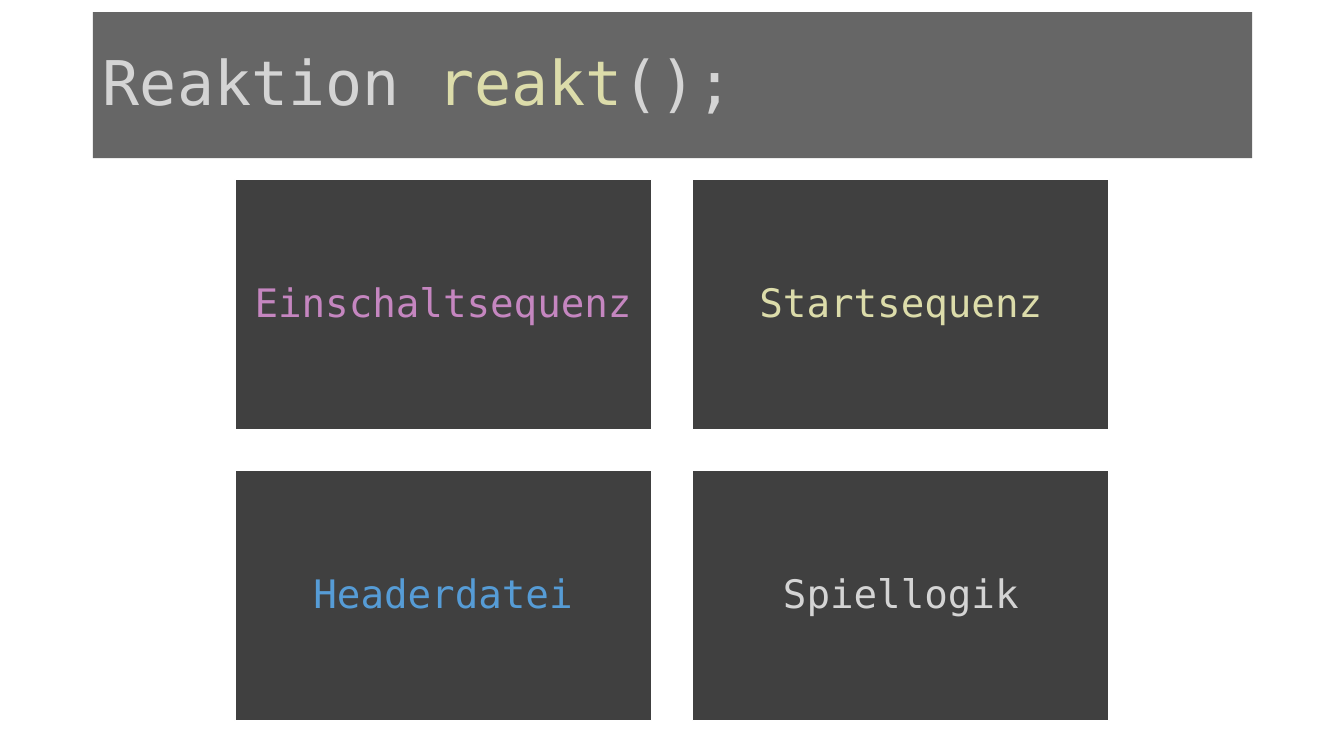
"""Build a title slide with a grid of four program parts."""
from lxml.etree import SubElement
from pptx import Presentation
from pptx.dml.color import RGBColor
from pptx.enum.shapes import MSO_SHAPE
from pptx.enum.text import MSO_ANCHOR, MSO_AUTO_SIZE, PP_ALIGN
from pptx.oxml.ns import qn
from pptx.util import Inches, Pt

COLORS = {
    "panel": "404040",
    "border": "FFFFFF",
    "plain": "D4D4D4",
    "function": "DCDCAA",
    "keyword": "C586C0",
    "type": "569CD6",
}
FONT = "DejaVu Sans Mono"
TITLE = [("Reaktion ", "plain"), ("reakt", "function"), ("();", "plain")]
PARTS = [
    ("Einschaltsequenz", "keyword"),
    ("Startsequenz", "function"),
    ("Headerdatei", "type"),
    ("Spiellogik", "plain"),
]
COLUMNS = 2
GRID_LEFT, GRID_TOP = 2.33, 1.78
BOX_WIDTH, BOX_HEIGHT = 4.13, 2.48
GAP = 0.41


def color(name):
    return RGBColor.from_string(COLORS[name])


def apply(target, values):
    for name, value in values.items():
        setattr(target, name, value)


def fill_panel(box):
    box.fill.solid()
    box.fill.fore_color.rgb = color("panel")


def write_spans(box, spans, size, align):
    frame = box.text_frame
    apply(frame, {"word_wrap": True, "auto_size": MSO_AUTO_SIZE.NONE,
                  "vertical_anchor": MSO_ANCHOR.MIDDLE})
    para = frame.paragraphs[0]
    apply(para, {"alignment": align, "line_spacing": 0.9})
    for text, color_name in spans:
        span = para.add_run()
        span.text = text
        apply(span.font, {"name": FONT, "size": Pt(size)})
        span.font.color.rgb = color(color_name)


def add_title(page):
    title = page.shapes.title
    apply(title, {"left": Inches(0.92), "top": Inches(0.12),
                  "width": Inches(11.5), "height": Inches(1.45)})
    fill_panel(title)
    tint = title.fill._xPr.find(qn("a:solidFill"))[0]
    SubElement(tint, qn("a:alpha")).set("val", "80000")
    write_spans(title, TITLE, 44, PP_ALIGN.LEFT)


def add_part(page, index, text, color_name):
    row, column = divmod(index, COLUMNS)
    left = GRID_LEFT + column * (BOX_WIDTH + GAP)
    top = GRID_TOP + row * (BOX_HEIGHT + GAP)
    box = page.shapes.add_shape(
        MSO_SHAPE.RECTANGLE, Inches(left), Inches(top),
        Inches(BOX_WIDTH), Inches(BOX_HEIGHT))
    box.shadow.inherit = False
    fill_panel(box)
    box.line.color.rgb = color("border")
    box.line.width = Pt(1)
    margins = ("margin_left", "margin_top", "margin_right", "margin_bottom")
    apply(box.text_frame, dict.fromkeys(margins, Inches(0.12)))
    write_spans(box, [(text, color_name)], 28, PP_ALIGN.CENTER)


def main():
    deck = Presentation()
    apply(deck, {"slide_width": Inches(13.33), "slide_height": Inches(7.5)})
    page = deck.slides.add_slide(deck.slide_layouts[5])
    add_title(page)
    for index, (text, color_name) in enumerate(PARTS):
        add_part(page, index, text, color_name)
    deck.save("out.pptx")


if __name__ == "__main__":
    main()
